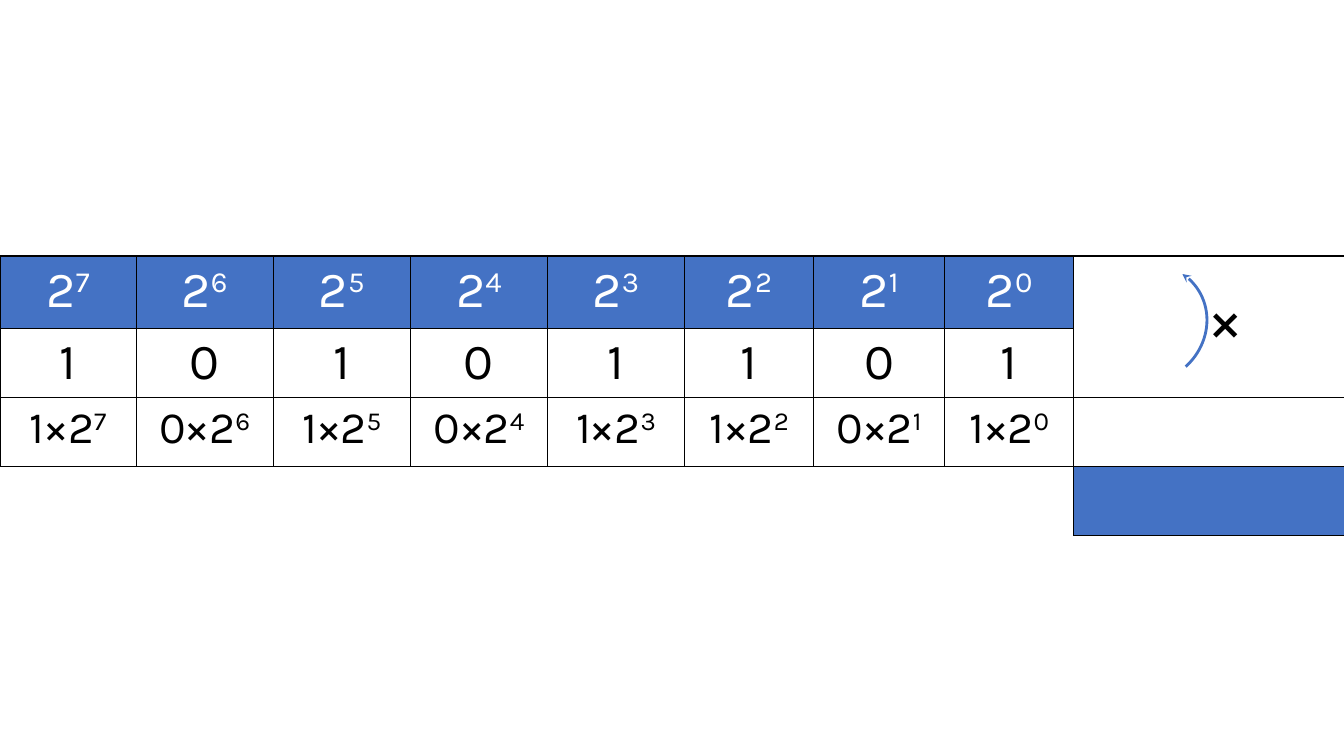
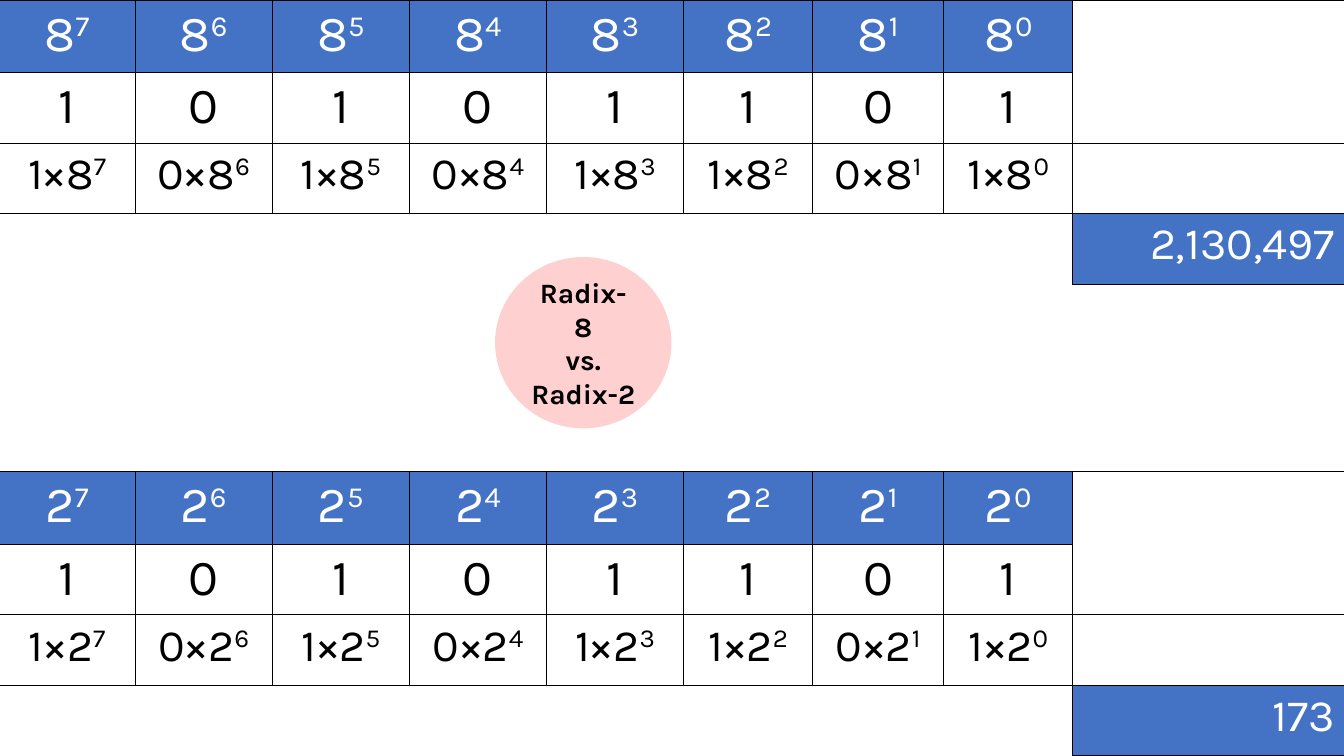
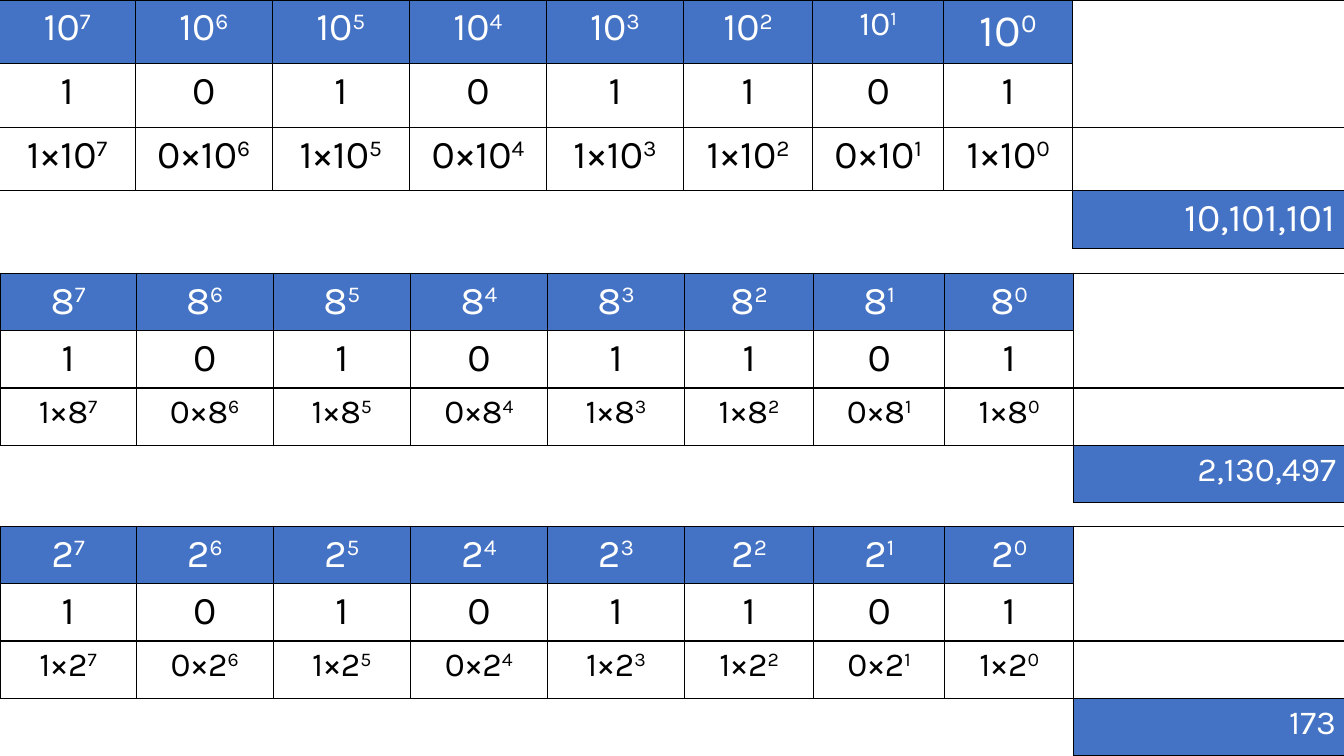
"""Build three slides of positional-notation tables for different radices."""
from dataclasses import dataclass

from lxml import etree
from pptx import Presentation
from pptx.dml.color import RGBColor
from pptx.enum.shapes import MSO_SHAPE
from pptx.enum.text import MSO_ANCHOR, PP_ALIGN
from pptx.oxml.ns import qn
from pptx.util import Inches, Pt

ARC, ELLIPSE = MSO_SHAPE.ARC, MSO_SHAPE.OVAL
CENTER, RIGHT = PP_ALIGN.CENTER, PP_ALIGN.RIGHT
MIDDLE = MSO_ANCHOR.MIDDLE

BLUE = RGBColor(0x44, 0x72, 0xC4)
PINK = RGBColor(0xFF, 0x8F, 0x8F)
WHITE = RGBColor(0xFF, 0xFF, 0xFF)
BLACK = RGBColor(0, 0, 0)
FONT = "Karla"

DIGITS = "10101101"
COLUMN_WIDTHS = (1.35, 1.36, 1.36, 1.36, 1.36, 1.28, 1.3, 1.28, 2.7)
SUM_COLUMN = len(DIGITS)
POWER_ROW, DIGIT_ROW, PRODUCT_ROW, TOTAL_ROW = range(4)
EDGES = ("L", "R", "T", "B")
LARGE_HEADERS = (36,) * 8
SMALL_HEADERS = (28,) * 8


@dataclass(frozen=True)
class RadixTable:
    """A number written in one radix, with its place values and total."""

    radix: int
    left: float
    top: float
    row_heights: tuple[float, ...]
    header_sizes: tuple[int, ...]
    digit_size: int
    product_size: int
    shows_total: bool = True


SLIDES = (
    (RadixTable(2, 0, 2.54, (0.72, 0.68, 0.68, 0.69), LARGE_HEADERS, 36, 32, False),),
    tuple(
        RadixTable(radix, -0.01, top, (0.72, 0.7, 0.7, 0.7), LARGE_HEADERS, 36, 32)
        for radix, top in ((8, 0), (2, 4.68))
    ),
    (
        RadixTable(8, 0, 2.71, (0.57,) * 4, SMALL_HEADERS, 28, 24),
        RadixTable(2, 0, 5.22, (0.57,) * 4, SMALL_HEADERS, 28, 24),
        RadixTable(10, -0.01, 0, (0.63, 0.63, 0.63, 0.57), (28,) * 6 + (24, 32), 28, 28),
    ),
)


def style_span(span, size: int, color: RGBColor, bold: bool = False) -> None:
    """Apply the shared font to a run."""
    span.font.name = FONT
    span.font.size = Pt(size)
    span.font.color.rgb = color
    span.font.bold = bold


def write_cell(cell, text: str, size: int, color: RGBColor,
               power: str = "", align=CENTER) -> None:
    """Write a cell's text, with an optional superscript power."""
    para = cell.text_frame.paragraphs[0]
    para.text = text
    para.alignment = align
    if power:
        exponent = para.add_run()
        exponent.text = power
        exponent._r.get_or_add_rPr().set("baseline", "30000")
    for span in para.runs:
        style_span(span, size, color)


def set_borders(cell, visible: str) -> None:
    """Draw the named edges of a cell in black and hide the others."""
    properties = cell._tc.get_or_add_tcPr()
    for index, edge in enumerate(EDGES):
        line = etree.Element(qn(f"a:ln{edge}"), w=str(Pt(1)))
        if edge in visible:
            fill = etree.SubElement(line, qn("a:solidFill"))
            etree.SubElement(fill, qn("a:srgbClr"), val=str(BLACK))
        else:
            etree.SubElement(line, qn("a:noFill"))
        properties.insert(index, line)


def format_cells(table) -> None:
    """Fill and outline every cell of a radix table."""
    for row_index, row in enumerate(table.rows):
        for column, cell in enumerate(row.cells):
            in_sum = column == SUM_COLUMN
            if row_index == (TOTAL_ROW if in_sum else POWER_ROW):
                cell.fill.solid()
                cell.fill.fore_color.rgb = BLUE
            else:
                cell.fill.background()
            if row_index == TOTAL_ROW and not in_sum:
                set_borders(cell, "TR" if column in (0, SUM_COLUMN - 1) else "T")
            else:
                set_borders(cell, "LRTB")


def draw_table(page, item: RadixTable) -> None:
    """Draw one radix table."""
    frame = page.shapes.add_table(
        len(item.row_heights), len(COLUMN_WIDTHS), Inches(item.left), Inches(item.top),
        Inches(sum(COLUMN_WIDTHS)), Inches(sum(item.row_heights)))
    table = frame.table
    table.first_row = table.horz_banding = False
    for column, width in zip(table.columns, COLUMN_WIDTHS):
        column.width = Inches(width)
    for row, height in zip(table.rows, item.row_heights):
        row.height = Inches(height)
    format_cells(table)
    table.cell(POWER_ROW, SUM_COLUMN).merge(table.cell(DIGIT_ROW, SUM_COLUMN))
    table.cell(TOTAL_ROW, 0).merge(table.cell(TOTAL_ROW, SUM_COLUMN - 1))

    for column, (digit, size) in enumerate(zip(DIGITS, item.header_sizes)):
        power = str(len(DIGITS) - 1 - column)
        write_cell(table.cell(POWER_ROW, column), str(item.radix), size, WHITE, power)
        write_cell(table.cell(DIGIT_ROW, column), digit, item.digit_size, BLACK)
        write_cell(table.cell(PRODUCT_ROW, column), f"{digit}×{item.radix}",
                   item.product_size, BLACK, power)
    if item.shows_total:
        write_cell(table.cell(TOTAL_ROW, SUM_COLUMN), f"{int(DIGITS, item.radix):,}",
                   item.product_size, WHITE, align=RIGHT)


def draw_multiply_mark(page) -> None:
    """Draw the curved arrow and multiplication sign as a group."""
    group = page.shapes.add_group_shape()
    arrow = group.shapes.add_shape(
        ARC, Inches(10.82), Inches(2.61), Inches(1.13), Inches(1.21))
    arrow.shadow.inherit = False
    arrow.adjustments[0] = 154.82
    arrow.adjustments[1] = 1.07
    arrow.rotation = 46.6
    arrow.fill.background()
    arrow.line.color.rgb = BLUE
    arrow.line.width = Pt(2)
    etree.SubElement(arrow.line._get_or_add_ln(), qn("a:headEnd"), type="stealth")

    box = group.shapes.add_textbox(
        Inches(11.9), Inches(2.73), Inches(0.6), Inches(0.84))
    box.text_frame.word_wrap = False
    box.text_frame.text = "×"
    style_span(box.text_frame.paragraphs[0].runs[0], 44, BLACK)


def draw_comparison_badge(page) -> None:
    """Draw the translucent circle naming the two radices."""
    badge = page.shapes.add_shape(
        ELLIPSE, Inches(4.91), Inches(2.55), Inches(1.75), Inches(1.7))
    badge.shadow.inherit = False
    badge.fill.solid()
    badge.fill.fore_color.rgb = PINK
    color = badge._element.spPr.find(qn("a:solidFill")).find(qn("a:srgbClr"))
    etree.SubElement(color, qn("a:alpha"), val="42000")
    badge.line.fill.background()
    frame = badge.text_frame
    frame.word_wrap = True
    frame.vertical_anchor = MIDDLE
    frame.text = "Radix-8\nvs.\nRadix-2"
    for para in frame.paragraphs:
        para.alignment = CENTER
        style_span(para.runs[0], 20, BLACK, bold=True)


def main() -> None:
    """Build and save the deck."""
    deck = Presentation()
    deck.slide_width, deck.slide_height = Inches(13.33), Inches(7.5)
    blank = deck.slide_layouts[6]
    pages = []
    for tables in SLIDES:
        page = deck.slides.add_slide(blank)
        for item in tables:
            draw_table(page, item)
        pages.append(page)
    draw_multiply_mark(pages[0])
    draw_comparison_badge(pages[1])
    deck.save("out.pptx")


if __name__ == "__main__":
    main()
